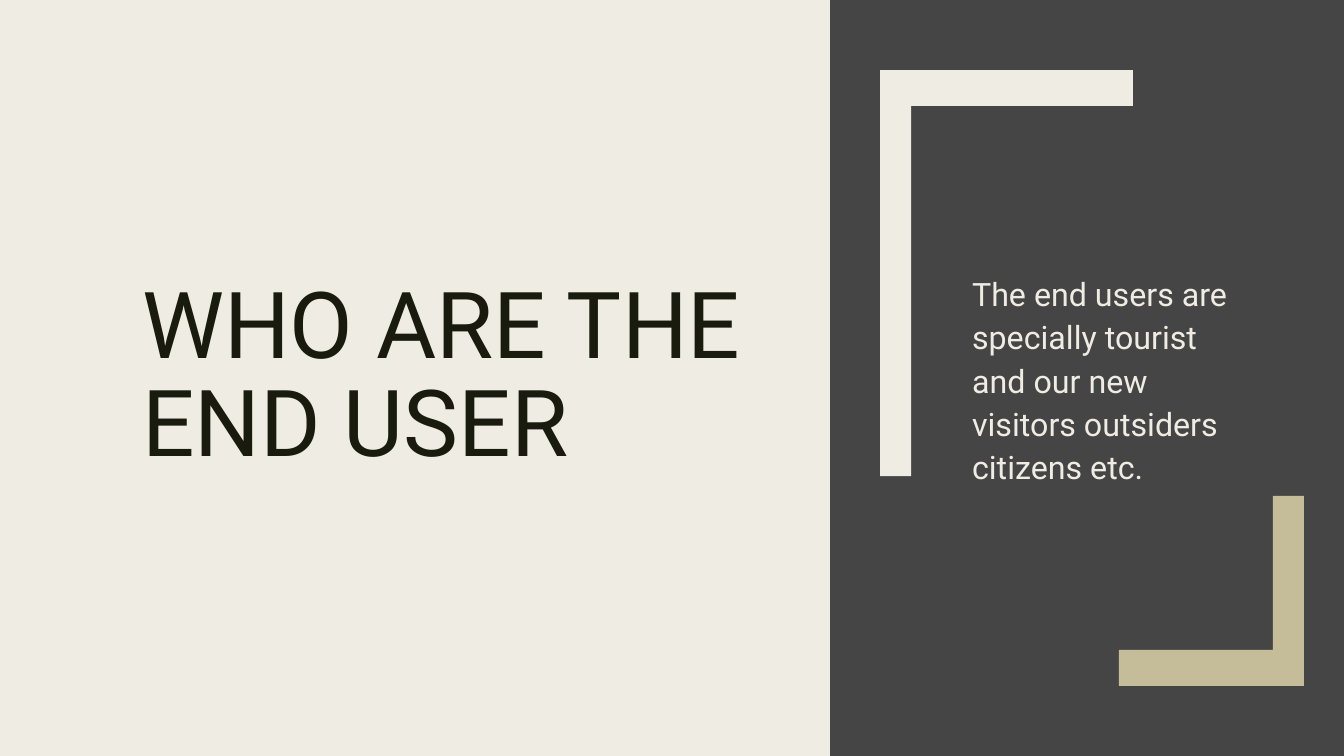
from pptx import Presentation
from pptx.dml.color import RGBColor as RGB
from pptx.enum.shapes import MSO_SHAPE as SHAPE
from pptx.enum.text import MSO_ANCHOR as ANCHOR, MSO_AUTO_SIZE as AUTO, PP_ALIGN as ALIGN
from pptx.oxml.xmlchemy import OxmlElement as Node
from pptx.util import Pt

PX = 12192000 / 1344
WIDE, HIGH = 1344, 756
CREAM, DARK, INK, SAND = "EFEDE3", "454545", "191B0E", "C5BD99"


def px(n):
    """Turn px into EMU."""
    return round(n * PX)


def paint(fill, tone):
    """Fill with a solid hex colour."""
    fill.solid()
    fill.fore_color.rgb = RGB.from_string(tone)


def finish(shape, tone):
    """Give a shape a flat fill with no line or shadow."""
    paint(shape.fill, tone)
    shape.line.fill.background()
    shape.shadow.inherit = False


def write(holder, box, text, size, tone, lead, after=0):
    """Move a placeholder into a box and set its text."""
    holder.left, holder.top, holder.width, holder.height = map(px, box)
    frame = holder.text_frame
    frame.text = text
    frame.word_wrap = True
    frame.auto_size = AUTO.NONE
    frame.vertical_anchor = ANCHOR.MIDDLE
    para = frame.paragraphs[0]
    para.alignment = ALIGN.LEFT
    para.line_spacing = lead
    para.space_before, para.space_after = Pt(0), Pt(after)
    props = para._p.get_or_add_pPr()
    props.set("marL", "0")
    props.set("indent", "0")
    props.append(Node("a:buNone"))
    font = para.runs[0].font
    font.name, font.size = "Roboto", Pt(size)
    paint(font.fill, tone)


def bracket(slide, x, y, w, h, side, tone):
    """Draw an L from its outer corner; side 1 opens right and down, -1 left and up."""
    post, beam = 31, 36
    steps = [(w, 0), (w, beam), (post, beam), (post, h), (0, h)]
    form = slide.shapes.build_freeform(px(x), px(y))
    form.add_line_segments([(px(x + side * a), px(y + side * b)) for a, b in steps])
    finish(form.convert_to_shape(), tone)


def heading(slide, x, y, w, h):
    """Place the light panel and the title on it."""
    panel = slide.shapes.add_shape(SHAPE.RECTANGLE, px(x), px(y), px(w), px(h))
    finish(panel, CREAM)
    slide.shapes._spTree.insert(2, panel._element)
    write(slide.shapes.title, (x + 132, y + 131, 620, 494),
          "WHO ARE THE END USER", 66, INK, 0.89)


def sidebar(slide, x, y, w, h):
    """Place the body text between two corner brackets."""
    write(slide.placeholders[1], (x + 132, y + 131, 286, 494),
          "The end users are specially tourist and our new visitors outsiders citizens etc.",
          23, CREAM, 1.12, 6)
    bracket(slide, x + 50, y + 70, 253, 406, 1, CREAM)
    bracket(slide, x + w - 40, y + h - 70, 185, 190, -1, SAND)


def main():
    """Build and save the slide."""
    deck = Presentation()
    deck.slide_width, deck.slide_height = px(WIDE), px(HIGH)
    slide = deck.slides.add_slide(deck.slide_layouts[1])
    paint(slide.background.fill, DARK)
    split = 830
    heading(slide, 0, 0, split, HIGH)
    sidebar(slide, split, 0, WIDE - split, HIGH)
    deck.save("out.pptx")


if __name__ == "__main__":
    main()
